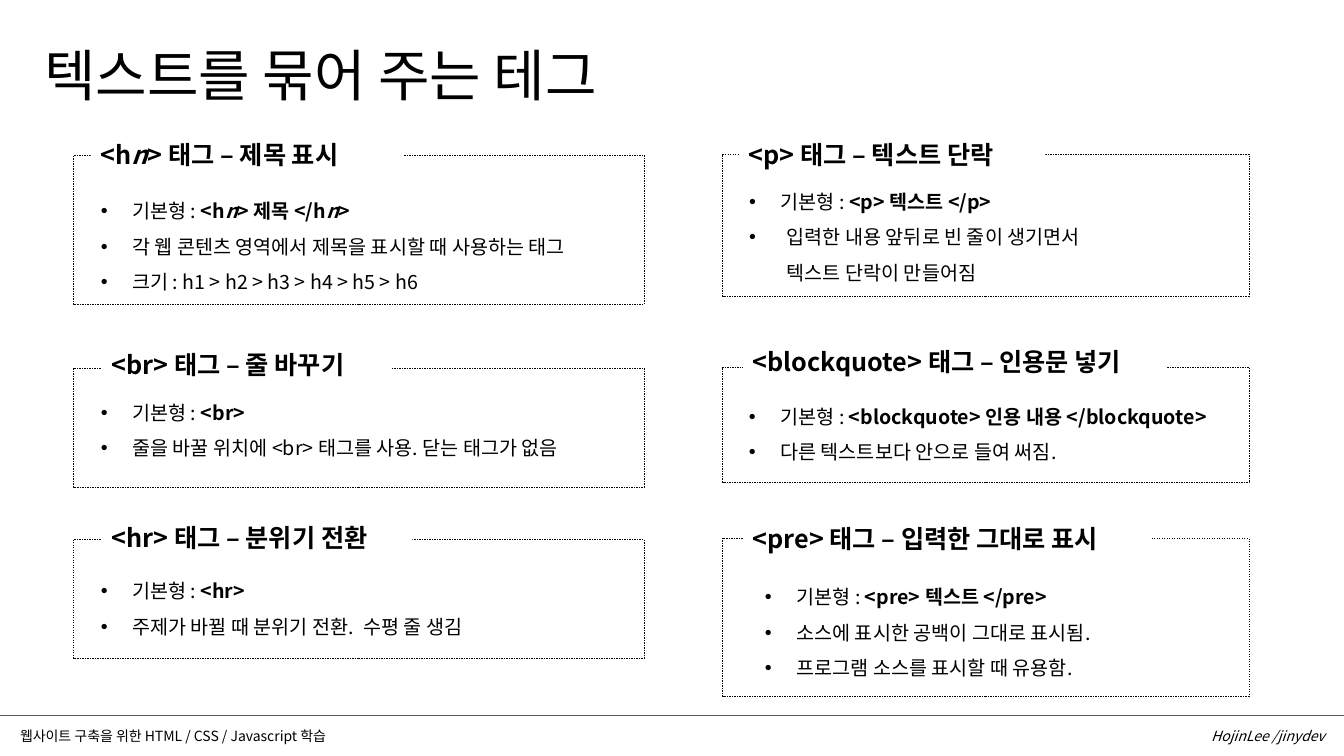
from lxml import etree
from pptx import Presentation
from pptx.dml.color import RGBColor
from pptx.enum import dml, shapes, text
from pptx.oxml import ns
from pptx.util import Pt

FONT = "Noto Sans CJK KR"
BASIC = ("기본형 : ", "")


def color(value):
    return RGBColor.from_string(value)


def write(para, content, size=14, bold=False, italic=False, align="LEFT",
          spacing=1.0, indent=None):
    para.alignment = getattr(text.PP_ALIGN, align)
    para.line_spacing = spacing
    para.space_before = para.space_after = Pt(0)
    if indent:
        properties = para._p.get_or_add_pPr()
        properties.set("marL", str(Pt(indent)))
        properties.set("indent", str(-Pt(indent)))
        etree.SubElement(properties, ns.qn("a:buFont")).set("typeface", "Arial")
        etree.SubElement(properties, ns.qn("a:buChar")).set("char", "•")
    spans = [(content, "")] if isinstance(content, str) else content
    for words, style in spans:
        for number, line in enumerate(words.split("\n")):
            if number:
                para.add_line_break()
            span = para.add_run()
            span.text = line
            span.font.size = Pt(size)
            span.font.bold = bold or "b" in style
            span.font.italic = italic or "i" in style
            span.font.color.rgb = color("000000")
            span.font.name = FONT
            etree.SubElement(span.font._element, ns.qn("a:ea")).set("typeface", FONT)


deck = Presentation()
deck.slide_width, deck.slide_height = Pt(960), Pt(540)
page = deck.slides.add_slide(deck.slide_layouts.get_by_name("Comparison"))
bodies = [box for box in page.placeholders if box.placeholder_format.idx]

title = page.shapes.title
title.left, title.top, title.width, title.height = Pt(24.5), Pt(25.2), Pt(480), Pt(55.4)
title.text_frame.vertical_anchor = text.MSO_ANCHOR.TOP
title.text_frame.auto_size = text.MSO_AUTO_SIZE.NONE
write(title.text_frame.paragraphs[0], "텍스트를 묶어 주는 테그", size=40)

# frame: left, top, width, height; heading: left, top, width; list: left, top, height
sections = [
    ((52.6, 110.9, 407.5, 106.6), (64.8, 95.8, 223.2), (64.8, 130.3, 98),
     [("<h", ""), ("n", "i"), ("> 태그 – 제목 표시", "")],
     [[BASIC, ("<h", "b"), ("n", "bi"), ("> 제목 </h", "b"), ("n", "bi"), (">", "b")],
      "각 웹 콘텐츠 영역에서 제목을 표시할 때 사용하는 태그",
      "크기 : h1 > h2 > h3 > h4 > h5 > h6"]),
    ((52.6, 262.8, 407.5, 85), (72.7, 246.2, 206.6), (64.8, 274.3, 58.3),
     "<br> 태그 – 줄 바꾸기",
     [[BASIC, ("<br>", "b")],
      "줄을 바꿀 위치에 <br> 태그를 사용. 닫는 태그가 없음"]),
    ((52.6, 385.2, 407.5, 85), (72.7, 369.4, 221.8), (64.8, 401.8, 58.3),
     "<hr> 태그 – 분위기 전환",
     [[BASIC, ("<hr>", "b")],
      "주제가 바뀔 때 분위기 전환.  수평 줄 생김"]),
    ((516.2, 110.2, 375.8, 101.5), (527.8, 95.8, 218.9), (527.8, 123.8, 80.6),
     "<p> 태그 – 텍스트 단락",
     [[BASIC, ("<p> 텍스트 </p>", "b")],
      "입력한 내용 앞뒤로 빈 줄이 생기면서 \n텍스트 단락이 만들어짐"]),
    ((516.2, 262.1, 375.8, 82.1), (530.6, 244.1, 303.1), (527.8, 277.2, 58.3),
     "<blockquote> 태그 – 인용문 넣기",
     [[BASIC, ("<blockquote> 인용 내용 </blockquote>", "b")],
      "다른 텍스트보다 안으로 들여 써짐."]),
    ((516.2, 384.5, 375.8, 113), (530.6, 370.1, 290.9), (539.3, 406.1, 98),
     "<pre> 태그 – 입력한 그대로 표시",
     [[BASIC, ("<pre> 텍스트 </pre>", "b")],
      "소스에 표시한 공백이 그대로 표시됨.",
      "프로그램 소스를 표시할 때 유용함."]),
]

for frame_place, heading_place, list_place, heading_text, items in sections:
    frame = page.shapes.add_shape(shapes.MSO_SHAPE.RECTANGLE, *map(Pt, frame_place))
    frame.shadow.inherit = False
    frame.fill.background()
    frame.line.color.rgb = color("000000")
    frame.line.width = Pt(0.25)
    frame.line.dash_style = dml.MSO_LINE.DASH

    heading = page.shapes.add_shape(
        shapes.MSO_SHAPE.RECTANGLE, *map(Pt, heading_place), Pt(29))
    heading.shadow.inherit = False
    heading.fill.solid()
    heading.fill.fore_color.rgb = color("FFFFFF")
    heading.line.fill.background()
    heading.text_frame.word_wrap = True
    heading.text_frame.vertical_anchor = text.MSO_ANCHOR.TOP
    write(heading.text_frame.paragraphs[0], heading_text, size=18, bold=True)

    left, top, height = map(Pt, list_place)
    box = bodies.pop(0) if bodies else page.shapes.add_textbox(0, 0, 0, 0)
    box.left, box.top, box.width, box.height = left, top, Pt(420), height
    box.text_frame.word_wrap = True
    box.text_frame.auto_size = text.MSO_AUTO_SIZE.NONE
    box.text_frame.vertical_anchor = text.MSO_ANCHOR.TOP
    for number, item in enumerate(items):
        para = box.text_frame.add_paragraph() if number else box.text_frame.paragraphs[0]
        write(para, item, spacing=1.5, indent=27 if "\n" in item else 22.5)

rule = page.shapes.add_connector(
    shapes.MSO_CONNECTOR.STRAIGHT, Pt(0), Pt(511.2), Pt(960), Pt(511.2))
rule.line.color.rgb = color("595959")
rule.line.width = Pt(0.5)
etree.SubElement(rule._element.spPr, ns.qn("a:effectLst"))

for left, width, words, style in [
    (7.2, 303, "웹사이트 구축을 위한 HTML / CSS / Javascript 학습", {}),
    (730.8, 222.5, "HojinLee /jinydev", {"italic": True, "align": "RIGHT"}),
]:
    box = page.shapes.add_textbox(Pt(left), Pt(516.2), Pt(width), Pt(19.4))
    box.text_frame.word_wrap = True
    write(box.text_frame.paragraphs[0], words, size=10, **style)

deck.save("out.pptx")
